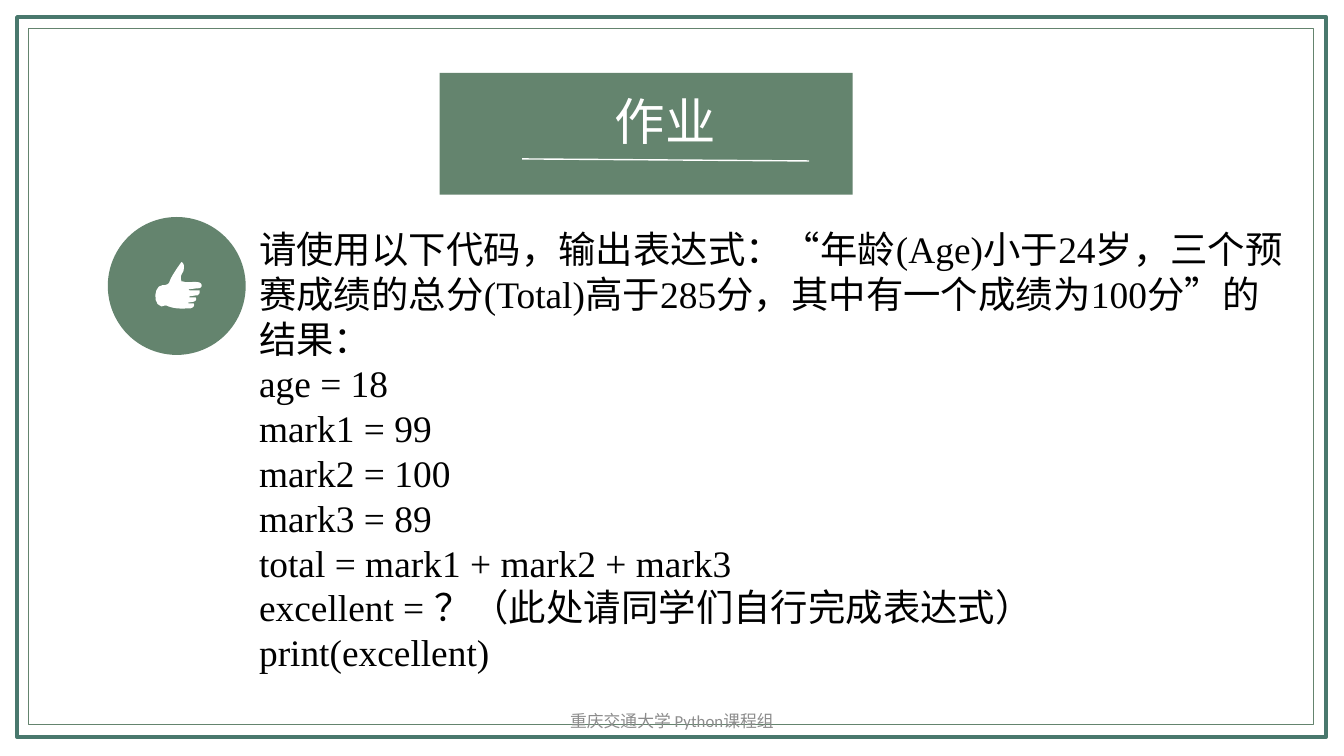
"""Build the homework slide with its framed page, title banner and exercise text."""
from dataclasses import dataclass

from lxml import etree
from pptx import Presentation
from pptx import util as u
from pptx.dml.color import RGBColor
from pptx.enum import lang, shapes, text
from pptx.oxml.ns import qn


@dataclass(frozen=True)
class Theme:
    """Colours, fonts and type sizes of the slide."""
    green: str = "64846E"
    frame: str = "49786D"
    white: str = "FFFFFF"
    black: str = "000000"
    grey: str = "8C8C8C"
    chinese: str = "Noto Sans CJK SC"
    serif: str = "Times New Roman"
    sans: str = "Calibri"
    title: float = 36
    body: float = 26.7
    footer: float = 12


EXERCISE = [
    "请使用以下代码，输出表达式：“年龄(Age)小于24岁，三个预赛成绩的总分(Total)高于285分，其中有一个成绩为100分”的结果：",
    "age = 18",
    "mark1 = 99",
    "mark2 = 100",
    "mark3 = 89",
    "total = mark1 + mark2 + mark3",
    "excellent = ？（此处请同学们自行完成表达式）",
    "print(excellent)",
]

THUMB_UNIT = 0.72
THUMB_START = (188, 294)
THUMB_CURVES = [
    (189, 294, 194, 293, 196, 293), (199, 291, 198, 289, 198, 288),
    (196, 288, 188, 288, 188, 288), (187, 287, 187, 287, 187, 287),
    (188, 287, 196, 286, 197, 286), (198, 286, 198, 286, 198, 286),
    (200, 285, 201, 283, 199, 281), (197, 279, 190, 280, 186, 280),
    (186, 280, 185, 280, 184, 280), (182, 279, 178, 279, 178, 279),
    (178, 279, 178, 279, 180, 279), (178, 274, 181, 271, 182, 269),
    (184, 261, 180, 260, 180, 260), (180, 260, 169, 275, 168, 280),
    (167, 283, 162, 283, 161, 283), (153, 283, 151, 302, 160, 304),
    (162, 304, 164, 302, 167, 304), (175, 307, 182, 306, 189, 306),
    (193, 305, 193, 302, 192, 301), (190, 301, 188, 301, 187, 301),
    (187, 300, 187, 300, 187, 300), (188, 300, 191, 300, 193, 299),
    (195, 298, 195, 296, 194, 295), (192, 295, 189, 295, 188, 295),
]


def colour(value):
    """Turn a hex string into a colour."""
    return RGBColor.from_string(value)


def curve_points(start, curves, steps=6):
    """Sample a chain of cubic curves."""
    for x1, y1, x2, y2, x3, y3 in curves:
        for step in range(1, steps + 1):
            t = step / steps
            weights = ((1 - t) ** 3, 3 * t * (1 - t) ** 2, 3 * t * t * (1 - t), t ** 3)
            yield tuple(sum(w * v for w, v in zip(weights, axis))
                        for axis in ((start[0], x1, x2, x3), (start[1], y1, y2, y3)))
        start = (x3, y3)


def write(frame, lines, *, size, font, east_asian, color, align=None, spacing=None):
    """Fill a text frame with one formatted paragraph per line."""
    for index, line in enumerate(lines):
        paragraph = frame.add_paragraph() if index else frame.paragraphs[0]
        paragraph.alignment = align
        if spacing:
            paragraph.line_spacing = u.Pt(spacing)
        run = paragraph.add_run()
        run.text = line
        run.font.size = u.Pt(size)
        run.font.name = font
        run.font.color.rgb = colour(color)
        run.font.language_id = lang.MSO_LANGUAGE_ID.SIMPLIFIED_CHINESE
        etree.SubElement(run.font._element, qn("a:ea"), typeface=east_asian)


class SlideBuilder:
    """Draws styled elements on the current slide."""

    def __init__(self, slide, theme):
        """Keep the slide and its theme."""
        self.slide = slide
        self.theme = theme
        self.shapes = slide.shapes

    def paint(self, shape, fill=None, line=None, width=1):
        """Set fill and outline and drop the shadow."""
        shape.shadow.inherit = False
        if fill:
            shape.fill.solid()
            shape.fill.fore_color.rgb = colour(fill)
        else:
            shape.fill.background()
        if line:
            shape.line.color.rgb = colour(line)
            shape.line.width = u.Pt(width)
        else:
            shape.line.fill.background()

    def preset(self, kind, box, **style):
        """Add a preset shape."""
        self.paint(self.shapes.add_shape(kind, *map(u.Pt, box)), **style)

    def outline(self, start, curves, unit, **style):
        """Add a closed curved outline."""
        def scaled(point):
            return tuple(u.Pt(value * unit) for value in point)

        builder = self.shapes.build_freeform(*scaled(start))
        builder.add_line_segments([scaled(p) for p in curve_points(start, curves)])
        self.paint(builder.convert_to_shape(), **style)

    def rule(self, start, end, color, width):
        """Add a straight line."""
        connector = self.shapes.add_connector(
            shapes.MSO_CONNECTOR.STRAIGHT, *map(u.Pt, start + end))
        connector.line.color.rgb = colour(color)
        connector.line.width = u.Pt(width)
        etree.SubElement(connector._element.spPr, qn("a:effectLst"))

    def label(self, box, lines, anchor=text.MSO_ANCHOR.TOP, **style):
        """Add a wrapped text box."""
        frame = self.shapes.add_textbox(*map(u.Pt, box)).text_frame
        frame.word_wrap = True
        frame.vertical_anchor = anchor
        write(frame, lines, east_asian=self.theme.chinese, **style)

    def banner(self):
        """Add the grouped title banner."""
        theme = self.theme
        self.shapes = self.slide.shapes.add_group_shape().shapes
        self.preset(shapes.MSO_SHAPE.RECTANGLE, (314, 52, 295, 87), fill=theme.green)
        self.label((358.5, 57, 233.5, 51), ["作业"], size=theme.title, font=theme.chinese,
                   color=theme.white, align=text.PP_ALIGN.CENTER, spacing=47)
        self.rule((373, 113.5), (578, 115), theme.white, 1)
        self.shapes = self.slide.shapes


def main():
    """Build and save the presentation."""
    presentation = Presentation()
    presentation.slide_width, presentation.slide_height = u.Pt(960), u.Pt(540)
    theme = Theme()
    builder = SlideBuilder(presentation.slides.add_slide(presentation.slide_layouts[6]), theme)
    rectangle = shapes.MSO_SHAPE.RECTANGLE
    builder.preset(rectangle, (12.25, 12.25, 935, 514), line=theme.frame, width=3)
    builder.preset(rectangle, (20.25, 20.25, 918, 497.5), line=theme.green, width=0.5)
    builder.preset(shapes.MSO_SHAPE.OVAL, (77, 155, 98.5, 98.5), fill=theme.green)
    builder.outline(THUMB_START, THUMB_CURVES, THUMB_UNIT, fill=theme.white)
    builder.banner()
    builder.label((178, 158, 751, 330), EXERCISE, size=theme.body, font=theme.serif,
                  color=theme.black, spacing=32)
    builder.label((318, 500.5, 324, 29), ["重庆交通大学 Python课程组"],
                  anchor=text.MSO_ANCHOR.MIDDLE, size=theme.footer, font=theme.sans,
                  color=theme.grey, align=text.PP_ALIGN.CENTER)
    presentation.save("out.pptx")


if __name__ == "__main__":
    main()
